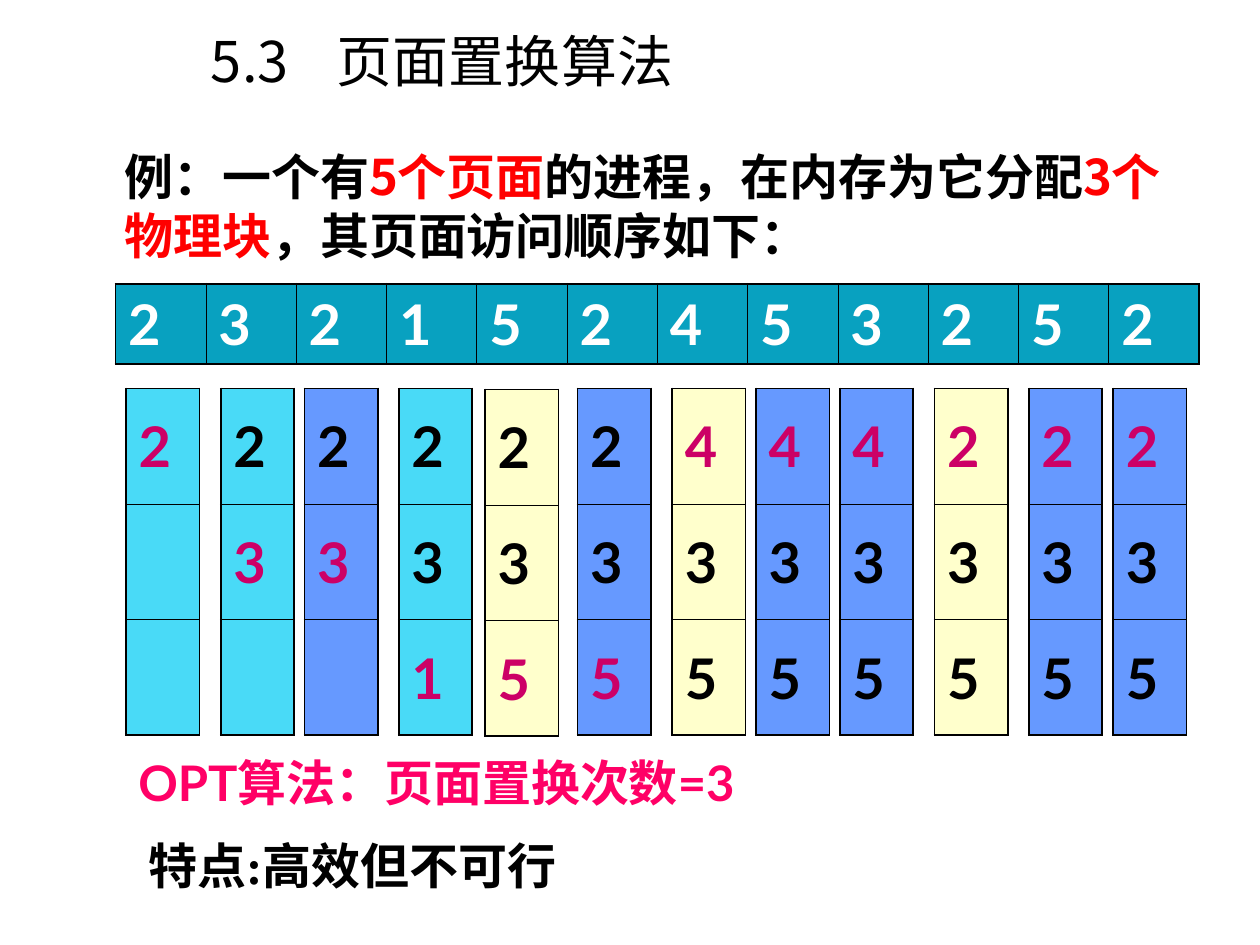
from dataclasses import dataclass
from typing import Optional

import lxml.etree
import pptx
import pptx.dml.color
import pptx.enum.text
import pptx.oxml.ns
import pptx.util

Cm = pptx.util.Cm
Pt = pptx.util.Pt
qn = pptx.oxml.ns.qn

COLORS = {
    "black": "000000",
    "white": "FFFFFF",
    "red": "FF0000",
    "pink": "FF0066",
    "newest": "CC0066",
    "sequence": "08A1C0",
    "loading": "49DAF7",
    "replaced": "FFFFCC",
    "hit": "6699FF",
}
CHINESE_FONT = "Noto Sans CJK SC"
DIGIT_FONT = "Lato"
OUTER_LINE = 1.08
INNER_LINE = 0.45
FRAME_TOP = 7.83


@dataclass
class TextBox:
    left: float
    top: float
    width: float
    height: float
    runs: list[tuple[str, str]]
    font: str
    size: float = 28
    bold: bool = True
    centered: bool = False
    bottom: bool = False
    line_points: Optional[float] = None
    tab_count: int = 0


@dataclass
class MemoryState:
    left: float
    pages: str
    newest: int
    status: str
    top: float = FRAME_TOP


TEXT_BOXES = [
    TextBox(2.26, 3.15, 21.64, 2.31, [
        ("例：一个有", "black"),
        ("5个页面", "red"),
        ("的进程，在内存为它分配", "black"),
        ("3个物理块", "red"),
        ("，其页面访问顺序如下：", "black"),
    ], CHINESE_FONT, bottom=True, line_points=33.6),
    TextBox(2.54, 15.04, 20.96, 1.45,
            [("OPT算法：页面置换次数=3", "pink")], DIGIT_FONT),
    TextBox(2.74, 16.71, 9.37, 1.45,
            [("特点:高效但不可行", "black")], "Times New Roman"),
    TextBox(0, 0.41, 17.83, 3.15, [("5.3\t页面置换算法", "black")],
            CHINESE_FONT, size=32, bold=False, centered=True, tab_count=8),
]

ACCESS_SEQUENCE = "232152453252"

MEMORY_STATES = [
    MemoryState(2.54, "2", 0, "loading"),
    MemoryState(4.45, "23", 1, "loading"),
    MemoryState(6.14, "23", 1, "hit"),
    MemoryState(8.04, "231", 2, "loading"),
    MemoryState(9.78, "235", 2, "replaced", top=7.85),
    MemoryState(11.64, "235", 2, "hit"),
    MemoryState(13.55, "435", 0, "replaced"),
    MemoryState(15.24, "435", 0, "hit"),
    MemoryState(16.93, "435", 0, "hit"),
    MemoryState(18.84, "235", 0, "replaced"),
    MemoryState(20.74, "235", 0, "hit"),
    MemoryState(22.44, "235", 0, "hit"),
]


def color(name: str) -> pptx.dml.color.RGBColor:
    return pptx.dml.color.RGBColor.from_string(COLORS[name])


def format_run(run, font: str, size: float, bold: bool, color_name: str) -> None:
    run.font.name = font
    run.font.size = Pt(size)
    run.font.bold = bold
    run.font.color.rgb = color(color_name)
    properties = run.font._element
    lxml.etree.SubElement(properties, qn("a:ea"), typeface=CHINESE_FONT)


def add_tabs(paragraph, count: int) -> None:
    properties = paragraph._p.get_or_add_pPr()
    tabs = lxml.etree.SubElement(properties, qn("a:tabLst"))
    for index in range(count):
        lxml.etree.SubElement(tabs, qn("a:tab"), pos=str(Cm(2.54 * index)), algn="l")


def add_text_box(slide, box: TextBox) -> None:
    shape = slide.shapes.add_textbox(
        Cm(box.left), Cm(box.top), Cm(box.width), Cm(box.height))
    text_frame = shape.text_frame
    text_frame.word_wrap = True
    if box.bottom:
        text_frame.vertical_anchor = pptx.enum.text.MSO_ANCHOR.BOTTOM
    paragraph = text_frame.paragraphs[0]
    if box.centered:
        paragraph.alignment = pptx.enum.text.PP_ALIGN.CENTER
    if box.line_points:
        paragraph.line_spacing = Pt(box.line_points)
    if box.tab_count:
        add_tabs(paragraph, box.tab_count)
    for text, color_name in box.runs:
        run = paragraph.add_run()
        run.text = text
        format_run(run, box.font, box.size, box.bold, color_name)


def set_borders(cell, widths: dict[str, float]) -> None:
    properties = cell._tc.get_or_add_tcPr()
    for index, (side, width) in enumerate(widths.items()):
        line = lxml.etree.Element(qn(f"a:ln{side}"), w=str(Pt(width)))
        fill = lxml.etree.SubElement(line, qn("a:solidFill"))
        lxml.etree.SubElement(fill, qn("a:srgbClr"), val=COLORS["black"])
        properties.insert(index, line)


def add_page_table(slide, left: float, top: float, column_width: float,
                   row_height: float, rows: list[list[tuple[str, str]]],
                   fill: str) -> None:
    row_count, column_count = len(rows), len(rows[0])
    table = slide.shapes.add_table(
        row_count, column_count, Cm(left), Cm(top),
        Cm(column_width * column_count), Cm(row_height * row_count)).table
    table.first_row = False
    table.horz_banding = False
    for row_index, row in enumerate(rows):
        for column_index, (page, color_name) in enumerate(row):
            cell = table.cell(row_index, column_index)
            cell.vertical_anchor = pptx.enum.text.MSO_ANCHOR.MIDDLE
            cell.fill.solid()
            cell.fill.fore_color.rgb = color(fill)
            edges = {
                "L": column_index == 0,
                "R": column_index == column_count - 1,
                "T": row_index == 0,
                "B": row_index == row_count - 1,
            }
            set_borders(cell, {side: OUTER_LINE if outer else INNER_LINE
                               for side, outer in edges.items()})
            cell.text_frame.text = page
            for run in cell.text_frame.paragraphs[0].runs:
                format_run(run, DIGIT_FONT, 32, True, color_name)


def add_memory_state(slide, state: MemoryState) -> None:
    rows = [[(page.strip(), "newest" if index == state.newest else "black")]
            for index, page in enumerate(state.pages.ljust(3))]
    add_page_table(slide, state.left, state.top, 1.48, 2.33, rows, state.status)


def main() -> None:
    presentation = pptx.Presentation()
    presentation.slide_width = Cm(25.4)
    presentation.slide_height = Cm(19.05)
    slide = presentation.slides.add_slide(presentation.slide_layouts[6])
    sequence = [[(page, "white") for page in ACCESS_SEQUENCE]]
    add_page_table(slide, 2.33, 5.72, 1.82, 1.6, sequence, "sequence")
    for state in MEMORY_STATES:
        add_memory_state(slide, state)
    for box in TEXT_BOXES:
        add_text_box(slide, box)
    presentation.save("out.pptx")


if __name__ == "__main__":
    main()
